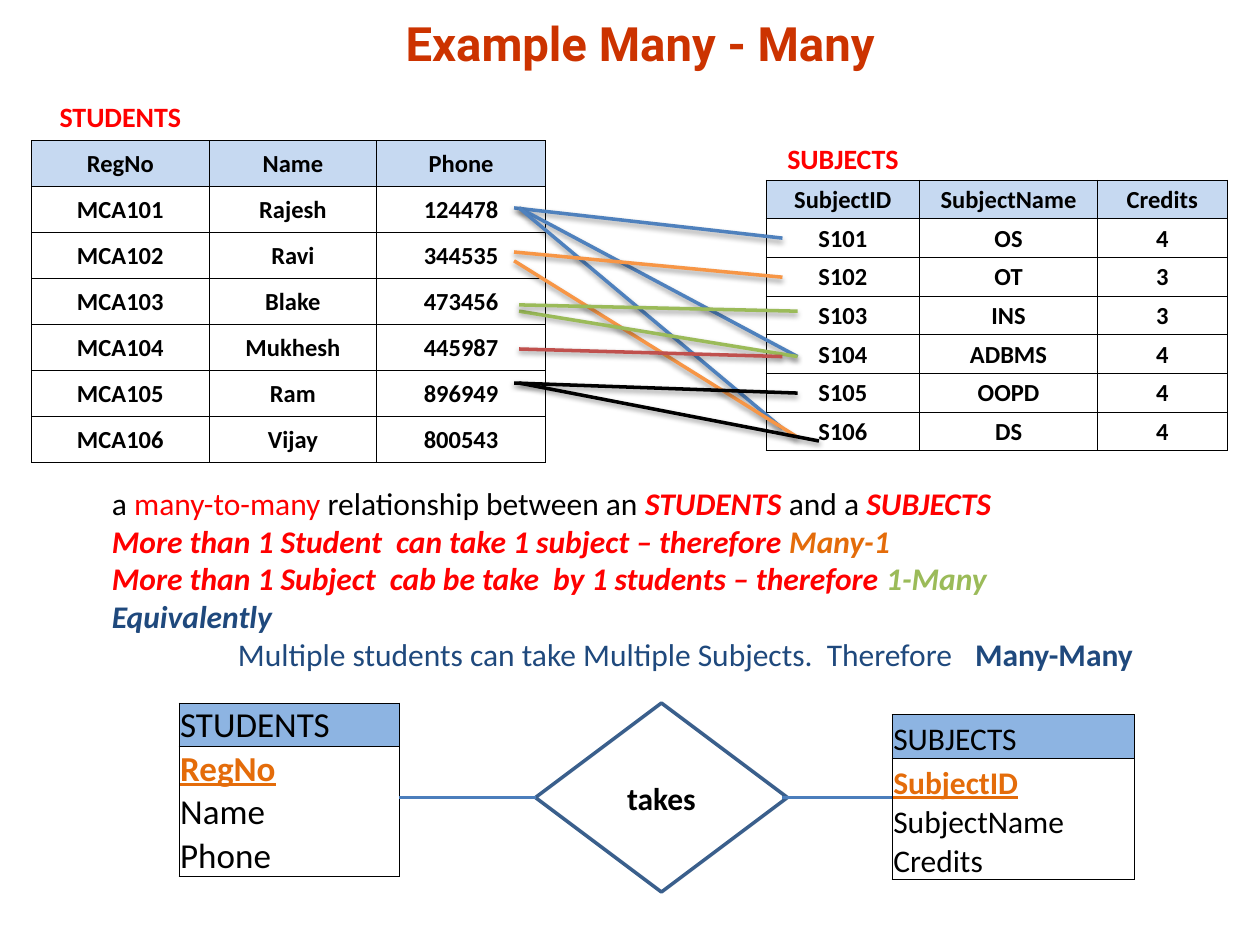
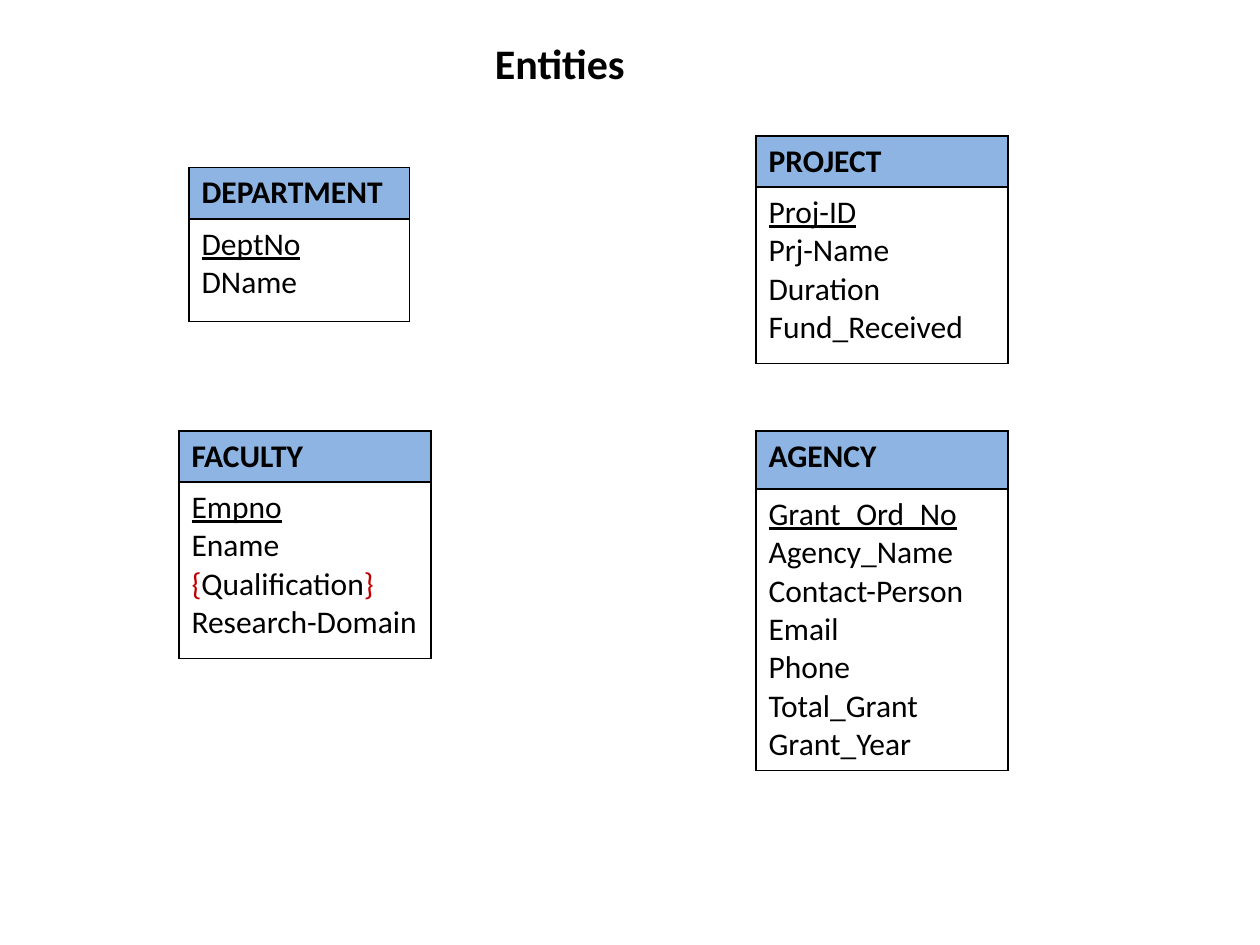
from lxml import etree
from pptx import Presentation
from pptx.dml.color import RGBColor
from pptx.enum.shapes import MSO_CONNECTOR, MSO_SHAPE
from pptx.enum.text import MSO_ANCHOR, PP_ALIGN
from pptx.oxml.ns import qn
from pptx.util import Inches, Pt

COLORS = {
    "black": "000000", "white": "FFFFFF", "red": "FF0000", "rust": "CC3300",
    "navy": "1F497D", "blue": "4F81BD", "orange": "F79646", "green": "9BBB59",
    "brick": "C0504D", "key": "E46C0A", "brace": "C00000", "column": "C6D9F1",
    "entity": "8DB4E2", "outline": "3A5F8C", "link": "4B7EBC",
}


def rgb(name):
    return RGBColor.from_string(COLORS[name])


def write(para, text, size=18, color="black", font="Calibri",
          bold=False, italic=False, underline=False):
    """Add one formatted run to a paragraph."""
    span = para.add_run()
    span.text = text
    span.font.name = font
    span.font.size = Pt(size)
    span.font.color.rgb = rgb(color)
    span.font.bold, span.font.italic, span.font.underline = bold, italic, underline


def add_solid(parent, color):
    fill = etree.SubElement(parent, qn("a:solidFill"))
    return etree.SubElement(fill, qn("a:srgbClr"), val=COLORS[color])


class Slides:
    """Holds the deck, its style and the current page."""

    def __init__(self):
        self.deck = Presentation()
        self.deck.slide_width, self.deck.slide_height = Inches(10), Inches(7.5)
        self.page = None

    def new_page(self):
        self.page = self.deck.slides.add_slide(self.deck.slide_layouts[6])

    def fill_text(self, frame, lines, align=PP_ALIGN.LEFT, **style):
        """Each line is a string or a list of (text, format) pairs."""
        for index, line in enumerate(lines):
            para = frame.paragraphs[0] if index == 0 else frame.add_paragraph()
            para.alignment = align
            for text, own in [(line, {})] if isinstance(line, str) else line:
                write(para, text, **{**style, **own})

    def text(self, left, top, width, height, lines, wrap=True,
             anchor=MSO_ANCHOR.TOP, **style):
        box = self.page.shapes.add_textbox(
            Inches(left), Inches(top), Inches(width), Inches(height))
        box.text_frame.word_wrap = wrap
        box.text_frame.vertical_anchor = anchor
        self.fill_text(box.text_frame, lines, **style)
        return box

    def line(self, start, end, color, shadow=False):
        line = self.page.shapes.add_connector(
            MSO_CONNECTOR.STRAIGHT, *(Inches(value) for value in (*start, *end)))
        line.line.color.rgb = rgb(color)
        line.line.width = Pt(2)
        effects = etree.SubElement(line._element.spPr, qn("a:effectLst"))
        if shadow:
            outer = etree.SubElement(
                effects, qn("a:outerShdw"), blurRad=str(Pt(3.1)),
                dist=str(Pt(1.6)), dir="5400000", rotWithShape="0")
            etree.SubElement(add_shadow_color(outer), qn("a:alpha"), val="38000")

    def diamond(self, left, top, width, height, label):
        shape = self.page.shapes.add_shape(
            MSO_SHAPE.DIAMOND, Inches(left), Inches(top), Inches(width), Inches(height))
        shape.shadow.inherit = False
        shape.fill.solid()
        shape.fill.fore_color.rgb = rgb("white")
        shape.line.color.rgb = rgb("outline")
        shape.line.width = Pt(2)
        shape.text_frame.vertical_anchor = MSO_ANCHOR.MIDDLE
        self.fill_text(shape.text_frame, [label], PP_ALIGN.CENTER, bold=True)

    def table(self, left, top, widths, heights):
        table = self.page.shapes.add_table(
            len(heights), len(widths), Inches(left), Inches(top),
            Inches(sum(widths)), Inches(sum(heights))).table
        table.first_row = table.horz_banding = False
        for column, width in zip(table.columns, widths):
            column.width = Inches(width)
        for row, height in zip(table.rows, heights):
            row.height = Inches(height)
        return table

    def cell(self, cell, lines, edges="LRTB", border=0.5, fill=None, tight=True,
             anchor=MSO_ANCHOR.MIDDLE, **style):
        cell.vertical_anchor = anchor
        if tight:
            cell.margin_left = cell.margin_right = cell.margin_top = Inches(0.01)
            cell.margin_bottom = 0
        properties = cell._tc.get_or_add_tcPr()
        for side in "LRTB":
            edge = etree.SubElement(properties, qn(f"a:ln{side}"), w=str(Pt(border)))
            if side in edges:
                add_solid(edge, "black")
            else:
                etree.SubElement(edge, qn("a:noFill"))
        if fill:
            cell.fill.solid()
            cell.fill.fore_color.rgb = rgb(fill)
        else:
            cell.fill.background()
        self.fill_text(cell.text_frame, lines, **style)
        if not lines:
            etree.SubElement(cell.text_frame.paragraphs[0]._p,
                             qn("a:endParaRPr"), sz="1400")

    def records(self, left, top, widths, heights, caption, rows):
        """Data table with a red caption row above the column names."""
        table = self.table(left, top, widths, heights)
        for column in range(len(widths)):
            self.cell(table.cell(0, column), [] if column else [caption], edges="B",
                      align=PP_ALIGN.CENTER, size=16, color="red", bold=True)
        for number, row in enumerate(rows, 1):
            for column, value in enumerate(row.split()):
                self.cell(table.cell(number, column), [value],
                          fill="column" if number == 1 else None,
                          align=PP_ALIGN.CENTER, size=14, bold=True)

    def entity(self, left, top, width, heights, name, groups, bold=False, **style):
        """Entity name over its attributes, one group of lines per body row."""
        table = self.table(left, top, [width], heights)
        self.cell(table.cell(0, 0), [name], fill="entity", bold=bold, **style)
        for number, lines in enumerate(groups, 1):
            edges = "LR" + "T" * (number == 1) + "B" * (number == len(groups))
            self.cell(table.cell(number, 0), lines, edges=edges, **style)


def add_shadow_color(effect):
    return etree.SubElement(effect, qn("a:srgbClr"), val=COLORS["black"])


def build_many_to_many(slides):
    slides.new_page()
    slides.text(0.58, 0.03, 9, 0.62, ["Example Many - Many"], anchor=MSO_ANCHOR.MIDDLE,
                align=PP_ALIGN.CENTER, size=27, color="rust", font="Roboto", bold=True)

    # Data tables
    slides.records(0.25, 0.75, [1.41, 1.33, 1.34], [0.365] * 8, "STUDENTS", [
        "RegNo Name Phone", "MCA101 Rajesh 124478", "MCA102 Ravi 344535",
        "MCA103 Blake 473456", "MCA104 Mukhesh 445987", "MCA105 Ram 896949",
        "MCA106 Vijay 800543"])
    slides.records(6.08, 1.1, [1.22, 1.41, 1.03], [0.33] + [0.307] * 7, "SUBJECTS", [
        "SubjectID SubjectName Credits", "S101 OS 4", "S102 OT 3", "S103 INS 3",
        "S104 ADBMS 4", "S105 OOPD 4", "S106 DS 4"])

    # Enrolment lines from students to subjects
    enrolments = {
        "blue": [((4.08, 1.65), (6.21, 1.89)), ((4.12, 1.65), (6.33, 2.83)),
                 ((4.12, 1.65), (6.21, 3.4))],
        "orange": [((4.08, 2), (6.21, 2.2)), ((4.08, 2.07), (6.33, 3.47))],
        "green": [((4.12, 2.47), (6.33, 2.83)), ((4.12, 2.42), (6.33, 2.47))],
        "black": [((4.08, 3.04), (6.33, 3.12)), ((4.12, 3.04), (6.5, 3.5))],
        "brick": [((4.12, 2.77), (6.21, 2.83))],
    }
    for color, lines in enrolments.items():
        for start, end in lines:
            slides.line(start, end, color, shadow=True)

    # Explanation
    strong = {"bold": True, "italic": True}
    red = {"color": "red", **strong}
    box = slides.text(0.79, 3.79, 8.58, 1.62, [
        [("a ", {}), ("many-to-many", {"color": "red"}),
         (" relationship between an ", {}), ("STUDENTS ", red),
         ("and a ", {}), ("SUBJECTS", red)],
        [("More than 1 Student  can take 1 subject – therefore ", red),
         ("Many-1", {"color": "key", **strong})],
        [("More than 1 Subject  cab be take  by 1 students – therefore ", red),
         ("1-Many", {"color": "green", **strong})],
        [("Equivalently", {"color": "navy", **strong})],
        [("\tMultiple students can take Multiple Subjects.  Therefore", {"color": "navy"}),
         ("\tMany-Many", {"color": "navy", "bold": True})],
    ])
    stops = etree.SubElement(
        box.text_frame.paragraphs[-1]._p.get_or_add_pPr(), qn("a:tabLst"))
    for position in (1, 6.85):
        etree.SubElement(stops, qn("a:tab"), pos=str(Inches(position)), algn="l")

    # Entity diagram
    key = {"color": "key", "bold": True, "underline": True}
    slides.entity(1.42, 5.58, 1.75, [0.345] * 4, "STUDENTS",
                  [[[("RegNo", key)]], ["Name"], ["Phone"]],
                  size=20, anchor=MSO_ANCHOR.BOTTOM)
    slides.entity(7.08, 5.67, 1.92, [0.35, 0.35, 0.6], "SUBJECTS",
                  [[[("SubjectID", key)]], ["SubjectName", "Credits"]],
                  anchor=MSO_ANCHOR.BOTTOM)
    slides.diamond(4.25, 5.58, 2, 1.5, "takes")
    slides.line((4.25, 6.33), (3.17, 6.33), "link")
    slides.line((7.08, 6.33), (6.21, 6.33), "link")


def build_entities(slides):
    slides.new_page()
    brace = {"color": "brace"}
    qualification = [("{", brace), ("Qualification", {}), ("}", brace)]
    entities = [
        (1.5, 1.33, 1.75, [0.41, 0.81], "DEPARTMENT", "DeptNo", ["DName"]),
        (1.42, 3.42, 2, [0.4, 1.4], "FACULTY", "Empno",
         ["Ename", qualification, "Research-Domain"]),
        (6, 1.08, 2, [0.4, 1.4], "PROJECT", "Proj-ID",
         ["Prj-Name", "Duration", "Fund_Received"]),
        (6, 3.42, 2, [0.46, 2.2], "AGENCY", "Grant_Ord_No",
         ["Agency_Name", "Contact-Person", "Email", "Phone", "Total_Grant", "Grant_Year"]),
    ]
    for left, top, width, heights, name, key, attributes in entities:
        slides.entity(left, top, width, heights, name,
                      [[[(key, {"underline": True})], *attributes]],
                      bold=True, border=1, tight=False, anchor=MSO_ANCHOR.TOP)
    slides.text(3.83, 0.25, 1.25, 0.5, ["Entities"], wrap=False, size=24, bold=True)


def main():
    slides = Slides()
    build_many_to_many(slides)
    build_entities(slides)
    slides.deck.save("out.pptx")


if __name__ == "__main__":
    main()
